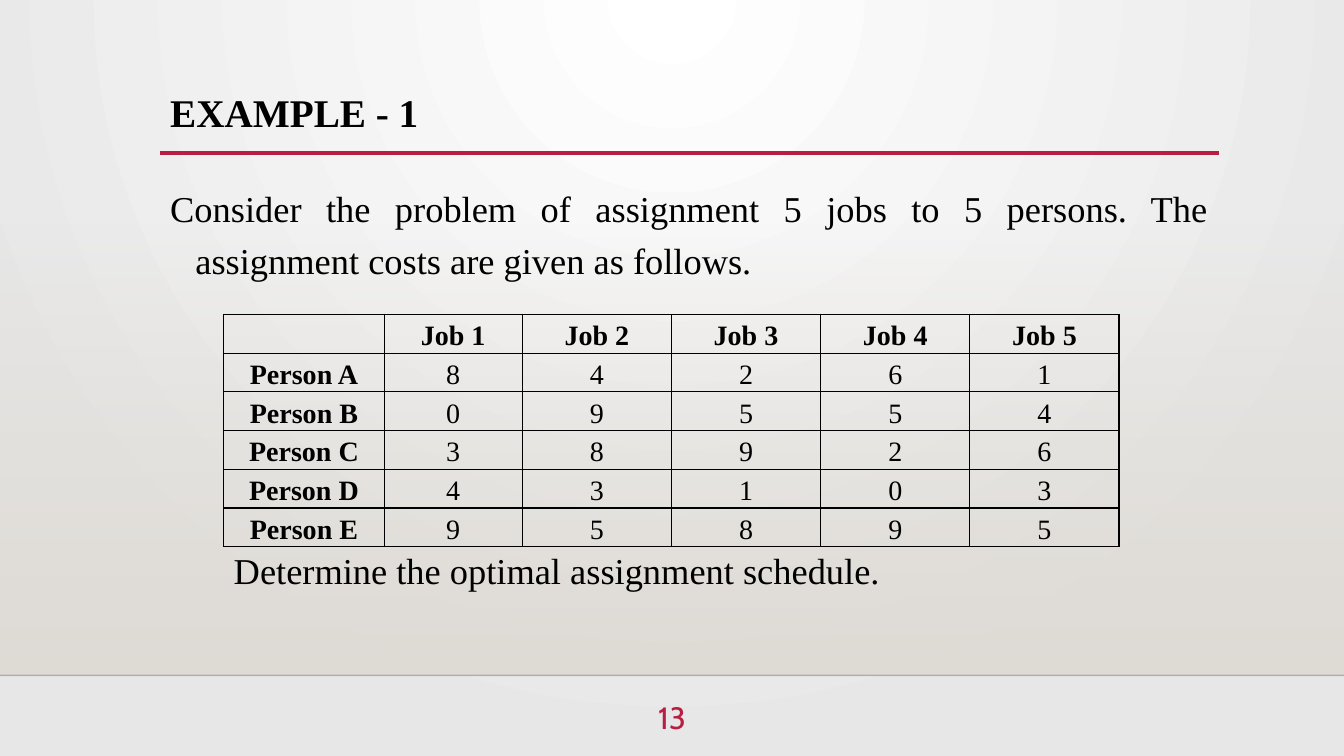
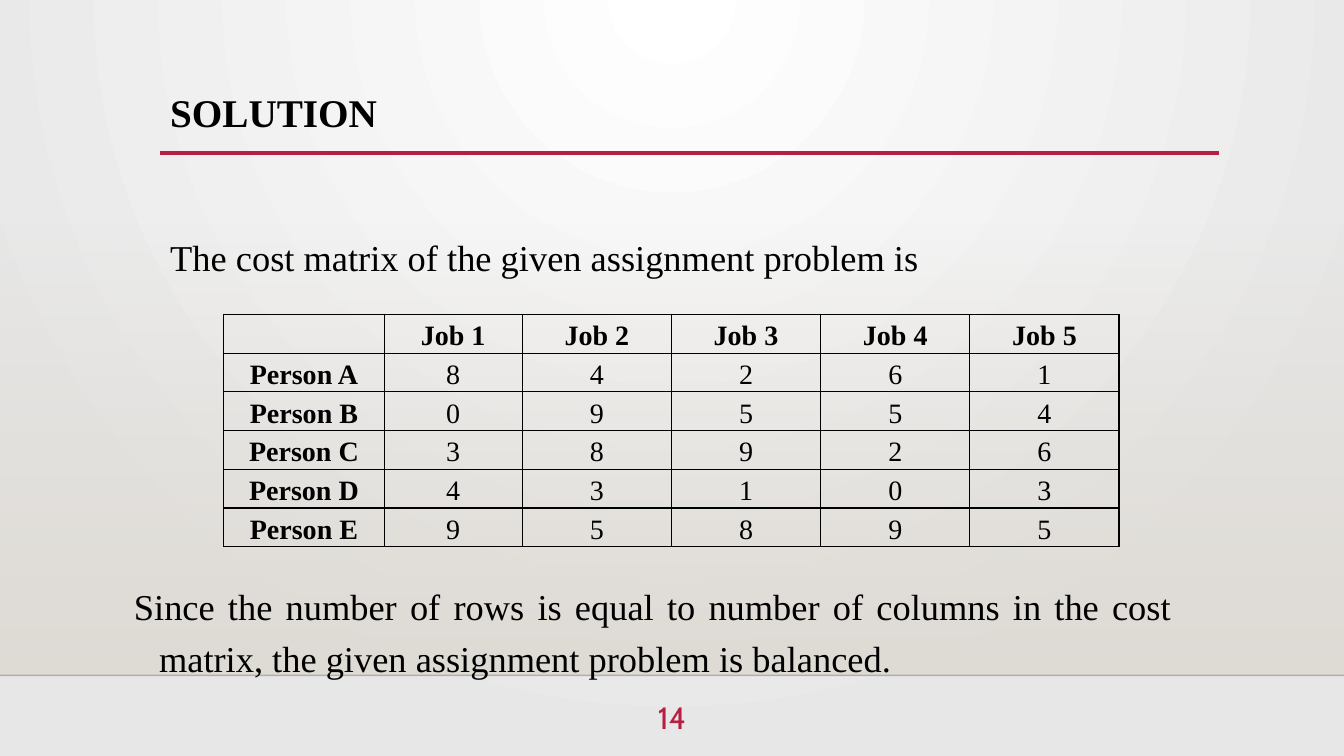
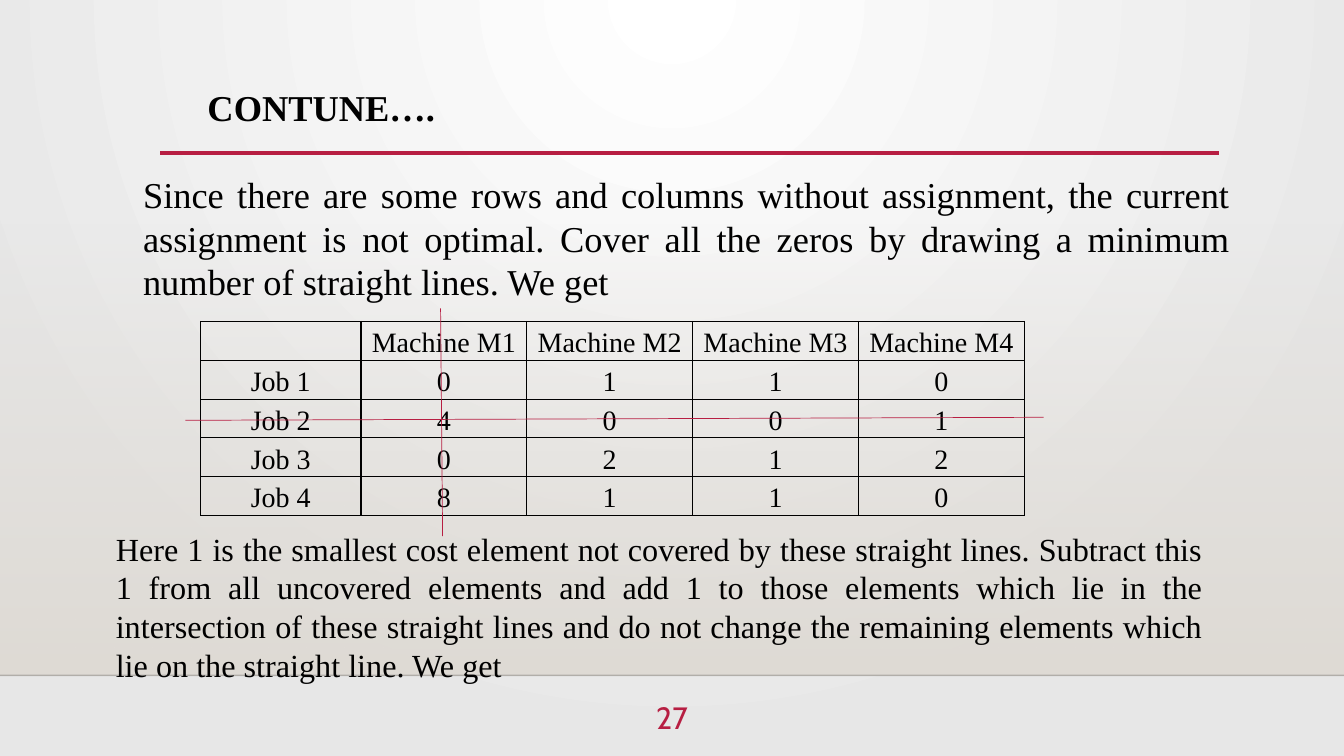
from lxml import etree
from pptx import Presentation
from pptx.dml.color import RGBColor
from pptx.enum.shapes import MSO_CONNECTOR, MSO_SHAPE
from pptx.enum.text import MSO_ANCHOR, PP_ALIGN
from pptx.oxml import parse_xml
from pptx.oxml.ns import nsdecls, qn
from pptx.util import Inches, Pt

COLORS = {
    "text": "000000",
    "accent": "B71E42",
    "divider": "000001",
    "glow": "FFFFFF",
    "edge": "E7E7E7",
    "band": "DFDBD5",
}
SERIF = "Times New Roman"
NUMBER_FONT = "Cabin"
SLIDE_W, SLIDE_H = 13.33, 7.5
FOOTER_TOP = 6.7
LEFT, BODY_W = 1.59, 10.5

COSTS = [
    ["", "Job 1", "Job 2", "Job 3", "Job 4", "Job 5"],
    ["Person A", 8, 4, 2, 6, 1],
    ["Person B", 0, 9, 5, 5, 4],
    ["Person C", 3, 8, 9, 2, 6],
    ["Person D", 4, 3, 1, 0, 3],
    ["Person E", 9, 5, 8, 9, 5],
]
REDUCED_COSTS = [
    ["", "Machine M1", "Machine M2", "Machine M3", "Machine M4"],
    ["Job 1", 0, 1, 1, 0],
    ["Job 2", 4, 0, 0, 1],
    ["Job 3", 0, 2, 1, 2],
    ["Job 4", 8, 1, 1, 0],
]


def rgb(name):
    return RGBColor.from_string(COLORS[name])


def set_alpha(color_element, percent):
    etree.SubElement(color_element, qn("a:alpha")).set("val", str(percent * 1000))


def set_gradient(fill, start, end):
    fill.gradient()
    for stop, name in zip(fill.gradient_stops, (start, end)):
        stop.color.rgb = rgb(name)


def style_master(master):
    """Give every slide a light glow that spreads from the top centre."""
    set_gradient(master.background.fill, "glow", "edge")
    gradient = master.element.find(".//" + qn("a:gradFill"))
    gradient.replace(gradient.find(qn("a:lin")), parse_xml(
        f'<a:path {nsdecls("a")} path="circle">'
        '<a:fillToRect l="43000" t="0" r="43000" b="100000"/></a:path>'))


def add_line(slide, start, end, color, width, alpha=None):
    points = [Inches(value) for value in (*start, *end)]
    line = slide.shapes.add_connector(MSO_CONNECTOR.STRAIGHT, *points)
    line.line.color.rgb = rgb(color)
    line.line.width = Pt(width)
    properties = line.element.spPr
    if alpha is not None:
        set_alpha(properties.find(".//" + qn("a:srgbClr")), alpha)
    etree.SubElement(properties, qn("a:effectLst"))


def style_paragraph(paragraph, size, font=SERIF, color="text", bold=False,
                    align=PP_ALIGN.LEFT, spacing=1.0):
    paragraph.alignment = align
    paragraph.line_spacing = spacing
    paragraph.font.name = font
    paragraph.font.size = Pt(size)
    paragraph.font.bold = bold
    paragraph.font.color.rgb = rgb(color)


def add_text(slide, box, text, size, hanging=False, **style):
    frame = slide.shapes.add_textbox(*map(Inches, box)).text_frame
    frame.word_wrap = True
    paragraph = frame.paragraphs[0]
    paragraph.text = text
    if hanging:
        properties = paragraph._p.get_or_add_pPr()
        properties.set("marL", str(Inches(0.25)))
        properties.set("indent", str(-Inches(0.25)))
    style_paragraph(paragraph, size, **style)


def add_title(slide, text):
    add_text(slide, (LEFT, 0.88, BODY_W, 1.15), text, 28, bold=True, spacing=0.9)


def add_body(slide, left, top, height, text, align=PP_ALIGN.JUSTIFY):
    add_text(slide, (left, top, BODY_W, height), text, 26,
             hanging=True, align=align, spacing=1.2)


def add_base_slide(prs, number):
    slide = prs.slides.add_slide(prs.slide_layouts[6])
    band = slide.shapes.add_shape(
        MSO_SHAPE.RECTANGLE, 0, Inches(2.21), Inches(SLIDE_W), Inches(FOOTER_TOP - 2.21))
    band.shadow.inherit = False
    band.line.fill.background()
    set_gradient(band.fill, "band", "band")
    band.fill.gradient_angle = 270
    set_alpha(band.element.spPr.find(".//" + qn("a:srgbClr")), 0)
    add_line(slide, (0, FOOTER_TOP), (SLIDE_W, FOOTER_TOP), "divider", 1, alpha=20)
    add_line(slide, (LEFT, 1.52), (LEFT + BODY_W, 1.52), "accent", 2.5)
    add_text(slide, (6.22, 6.88, 0.89, 0.55), str(number), 22,
             font=NUMBER_FONT, color="accent", align=PP_ALIGN.CENTER)
    return slide


def add_borders(cell):
    for side in ("lnL", "lnR", "lnT", "lnB"):
        cell._tc.get_or_add_tcPr().append(parse_xml(
            f'<a:{side} {nsdecls("a")} w="{Pt(1)}"><a:solidFill>'
            f'<a:srgbClr val="{COLORS["text"]}"/></a:solidFill></a:{side}>'))


def add_matrix(slide, left, top, rows, widths, row_height, bold_heads, spacing):
    table = slide.shapes.add_table(
        len(rows), len(widths), Inches(left), Inches(top),
        Inches(sum(widths)), Inches(row_height * len(rows))).table
    table.first_row = table.horz_banding = False
    for column, width in zip(table.columns, widths):
        column.width = Inches(width)
    for r, values in enumerate(rows):
        table.rows[r].height = Inches(row_height)
        for c, value in enumerate(values):
            cell = table.cell(r, c)
            add_borders(cell)
            cell.fill.background()
            cell.vertical_anchor = MSO_ANCHOR.MIDDLE
            cell.margin_left = cell.margin_right = Inches(0.07)
            cell.margin_top = cell.margin_bottom = 0
            cell.text = str(value)
            style_paragraph(cell.text_frame.paragraphs[0], 20,
                            bold=bold_heads and 0 in (r, c),
                            align=PP_ALIGN.CENTER, spacing=spacing)


def add_cost_matrix(slide):
    add_matrix(slide, 2.22, 3.12, COSTS, [1.59, 1.37] + [1.48] * 4,
               0.35, bold_heads=True, spacing=1.15)


def build_example(prs):
    slide = add_base_slide(prs, 13)
    add_title(slide, "EXAMPLE - 1")
    add_body(slide, LEFT, 1.71, 1.35,
             "Consider the problem of assignment 5 jobs to 5 persons. "
             "The assignment costs are given as follows.")
    add_cost_matrix(slide)
    add_text(slide, (2.22, 5.39, 8.86, 0.54),
             "Determine the optimal assignment schedule.", 26, align=PP_ALIGN.JUSTIFY)


def build_solution(prs):
    slide = add_base_slide(prs, 14)
    add_title(slide, "SOLUTION")
    add_body(slide, LEFT, 2.2, 0.78,
             "The cost matrix of the given assignment problem is", PP_ALIGN.LEFT)
    add_cost_matrix(slide)
    add_body(slide, 1.23, 5.66, 0.78,
             "Since the number of rows is equal to number of columns in the cost "
             "matrix, the given assignment problem is balanced.")


def build_zero_cover(prs):
    slide = add_base_slide(prs, 27)
    add_text(slide, (1.32, 1.66, 10.99, 1.41),
             "Since there are some rows and columns without assignment, the current "
             "assignment is not optimal. Cover all the zeros by drawing a minimum "
             "number of straight lines. We get", 26, align=PP_ALIGN.JUSTIFY)
    add_matrix(slide, 1.99, 3.19, REDUCED_COSTS, [1.59] + [1.645] * 4,
               0.385, bold_heads=False, spacing=1.15)
    add_line(slide, (4.37, 3.06), (4.39, 5.32), "accent", 0.5)
    add_line(slide, (1.84, 4.17), (10.35, 4.14), "accent", 0.5)
    add_text(slide, (1.05, 5.2, 10.99, 1.65),
             "Here 1 is the smallest cost element not covered by these straight lines. "
             "Subtract this 1 from all uncovered elements and add 1 to those elements "
             "which lie in the intersection of these straight lines and do not change "
             "the remaining elements which lie on the straight line. We get",
             23, align=PP_ALIGN.JUSTIFY)
    add_text(slide, (1.96, 0.8, 10.04, 0.54), "CONTUNE….", 26, bold=True)


def main():
    prs = Presentation()
    prs.slide_width, prs.slide_height = Inches(SLIDE_W), Inches(SLIDE_H)
    style_master(prs.slide_master)
    for build in (build_example, build_solution, build_zero_cover):
        build(prs)
    prs.save("out.pptx")


if __name__ == "__main__":
    main()
